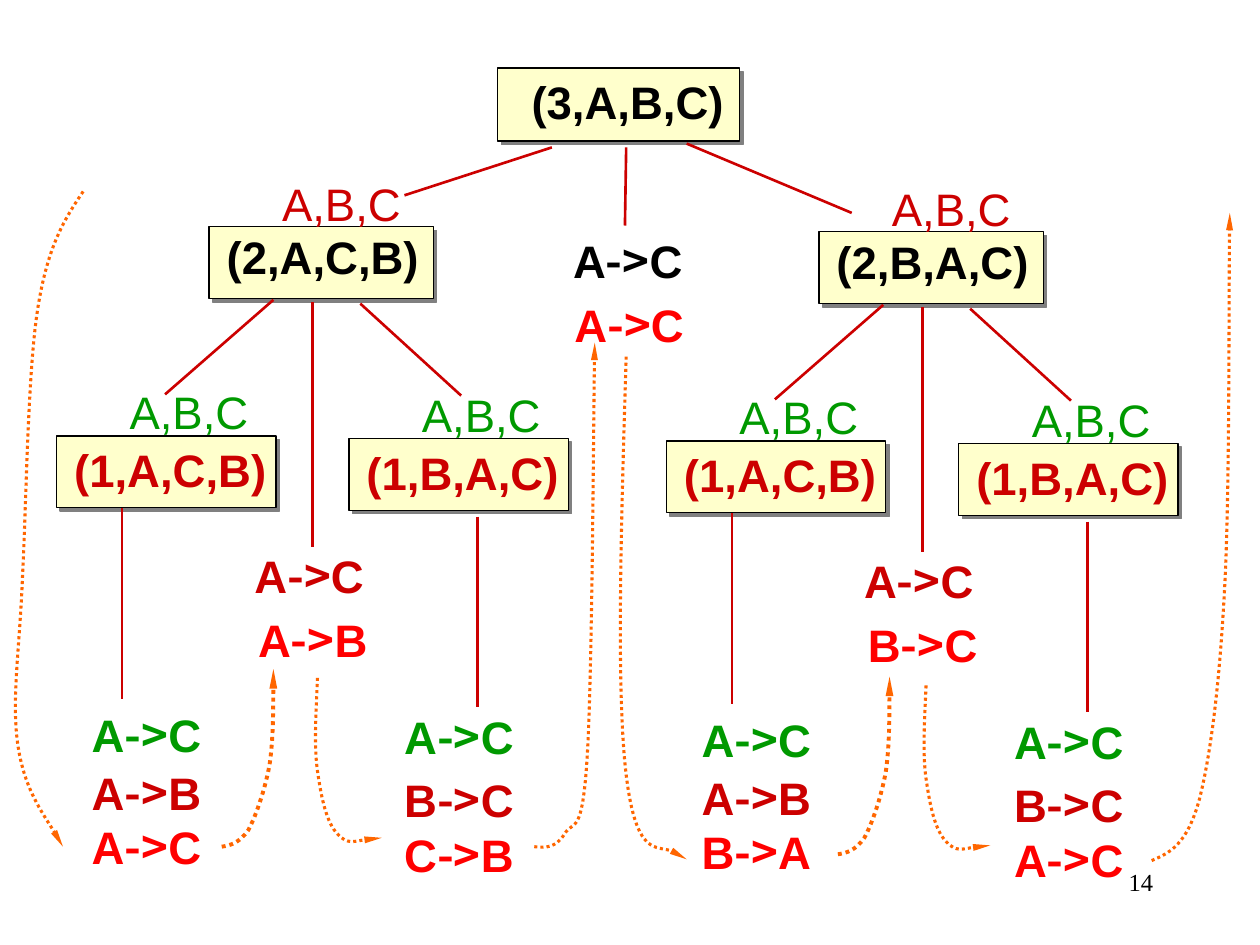
from dataclasses import dataclass
from lxml import etree
from pptx import Presentation
from pptx import util as u
from pptx.dml.color import RGBColor
from pptx.enum import dml, shapes, text
from pptx.oxml import ns


@dataclass(frozen=True)
class Theme:
    black: str = "000000"
    dark: str = "CC0000"
    red: str = "FF0000"
    green: str = "009900"
    trail: str = "FF6600"
    cream: str = "FFFFCC"
    shade: str = "808080"
    sans: str = "Arial"
    cjk: str = "Noto Sans CJK SC"
    serif: str = "Times New Roman"
    size: int = 26
    small: int = 14


T = Theme()
inch = u.Inches


def rgb(name):
    return RGBColor.from_string(name)


def style(run, tint, bold, font=T.sans, size=T.size):
    run.font.name, run.font.size, run.font.bold = font, u.Pt(size), bold
    run.font.color.rgb = rgb(tint)


def add_text(slide, x, y, w, h=0.53, wrap=True, grow=True):
    frame = slide.shapes.add_textbox(inch(x), inch(y), inch(w), inch(h)).text_frame
    frame.word_wrap = wrap
    if grow:
        frame.auto_size = text.MSO_AUTO_SIZE.SHAPE_TO_FIT_TEXT
    return frame


def add_label(slide, x, y, w, words, tint, bold=True):
    frame = add_text(slide, x, y, w, wrap=bold)
    frame.text = words
    style(frame.paragraphs[0].runs[0], tint, bold)


def add_moves(slide, x, y, *moves):
    """Stack moves such as A->C, one paragraph for each (from, to, colour)."""
    frame = add_text(slide, x, y, 1.3, 0.53 + 0.44 * (len(moves) - 1))
    for i, (start, end, tint) in enumerate(moves):
        para = frame.add_paragraph() if i else frame.paragraphs[0]
        for part, font in ((start, T.sans), ("->", T.cjk), (end, T.sans)):
            run = para.add_run()
            run.text = part
            style(run, tint, True, font)


def add_card(slide, x, y, w, h=0.57):
    card = slide.shapes.add_shape(shapes.MSO_SHAPE.RECTANGLE,
                                  inch(x), inch(y), inch(w), inch(h))
    card.fill.solid()
    card.fill.fore_color.rgb = rgb(T.cream)
    card.line.color.rgb = rgb(T.black)
    card.line.width = u.Pt(0.75)
    # Hard shadow to the lower right
    effects = etree.SubElement(card._element.spPr, ns.qn("a:effectLst"))
    cast = etree.SubElement(effects, ns.qn("a:outerShdw"), dist=str(u.Pt(2.8)),
                            dir="2700000", algn="ctr", rotWithShape="0")
    etree.SubElement(cast, ns.qn("a:srgbClr"), val=T.shade)


def add_branch(slide, x, y, x1, y1, x2, y2):
    line = slide.shapes.add_connector(
        shapes.MSO_CONNECTOR.STRAIGHT, *map(inch, (x + x1, y + y1, x + x2, y + y2)))
    line.line.color.rgb = rgb(T.dark)
    line.line.width = u.Pt(1.5)
    etree.SubElement(line._element.spPr, ns.qn("a:effectLst"))


def add_curve(slide, x, y, points, width=1.75):
    """Dotted arrow along joined cubic curves: a start, then three points each."""
    start, *rest = [(inch(x + px), inch(y + py)) for px, py in points]
    path = slide.shapes.build_freeform(*start)
    path.add_line_segments(rest, close=False)
    curve = path.convert_to_shape()
    # Each three straight steps become one cubic curve
    steps = list(curve._element.iter(ns.qn("a:lnTo")))
    for i in range(0, len(steps), 3):
        bend = etree.SubElement(steps[i].getparent(), ns.qn("a:cubicBezTo"))
        for step in steps[i:i + 3]:
            bend.append(step[0])
            step.getparent().remove(step)
    curve.shadow.inherit = False
    curve.fill.background()
    curve.line.color.rgb = rgb(T.trail)
    curve.line.width = u.Pt(width)
    curve.line.dash_style = dml.MSO_LINE.ROUND_DOT
    ln = curve._element.spPr.find(ns.qn("a:ln"))
    etree.SubElement(ln, ns.qn("a:tailEnd"), type="triangle", w="sm", len="lg")


def add_leaf(slide, x, y, call, stem, shift, last, moves):
    """Call with one disk: stem is its drop line, shift the left of its moves."""
    add_card(slide, x, y, 1.74)
    add_label(slide, x + 0.04, y, 2.02, call, T.dark)
    add_label(slide, x + 0.48, y - 0.46, 1.15, "A,B,C", T.green, False)
    add_branch(slide, x, y, *stem)
    add_moves(slide, x + shift, y + 2.1, ("A", "C", T.green))
    first, second = moves
    add_moves(slide, x + shift, y + last, (*first, T.dark), (*second, T.red))


def add_tree(slide, x, y, call, middle, left, right):
    """Call with two disks, its own moves and its two leaves."""
    add_card(slide, x, y, 1.78)
    add_label(slide, x + 0.04, y - 0.03, 2.02, call, T.black)
    add_label(slide, x + 0.48, y - 0.45, 1.15, "A,B,C", T.dark, False)
    for ends in ((0.51, 0.58, -0.35, 1.33), (0.82, 0.6, 0.82, 2.54),
                 (1.2, 0.61, 2, 1.34)):
        add_branch(slide, x, y, *ends)
    add_moves(slide, x + 0.26, y + 2.5, ("A", "C", T.dark))
    add_moves(slide, x + 0.29, y + 3.01, (*middle, T.red))
    add_leaf(slide, x - 1.21, y + 1.66, "(1,A,C,B)",
             (0.52, 0.57, 0.52, 2.09), 0.18, 2.56, left)
    add_leaf(slide, x + 1.11, y + 1.68, "(1,B,A,C)",
             (1.02, 0.62, 1.02, 2.13), 0.34, 2.6, right)


def add_root(slide, x, y):
    """Call with three disks and the moves below it."""
    add_card(slide, x, y, 1.92, 0.58)
    add_label(slide, x + 0.17, y, 2.02, "(3,A,B,C)", T.black)
    for ends in ((1.02, 0.63, 1.01, 1.25), (0.43, 0.63, -0.74, 1.01),
                 (1.5, 0.6, 2.81, 1.15)):
        add_branch(slide, x, y, *ends)
    add_moves(slide, x + 0.5, y + 1.26, ("A", "C", T.black))
    add_moves(slide, x + 0.51, y + 1.77, ("A", "C", T.red))


def add_trail(slide, x, y):
    """Order in which the moves are visited."""
    climb = [(0, 1.41), (0.07, 1.4), (0.14, 1.38), (0.21, 1.28), (0.27, 1.17),
             (0.34, 0.97), (0.38, 0.76), (0.41, 0.55), (0.41, 0.13), (0.41, 0)]
    dive = [(0.03, 0), (0.02, 0.26), (0, 0.53), (0.03, 0.74), (0.06, 0.95),
            (0.1, 1.15), (0.19, 1.24), (0.27, 1.33), (0.48, 1.27), (0.54, 1.27)]
    for left, top in ((1.76, 5.31), (6.65, 5.37)):
        add_curve(slide, x + left, y + top, climb, 2.25)
    for left, top in ((2.49, 5.38), (7.32, 5.44)):
        add_curve(slide, x + left, y + top, dive)
    # Into the first leaf, up to the root, down again, and out
    for route in (
        [(0.66, 1.52), (0.52, 1.73), (0.38, 1.94), (0.3, 2.45), (0.22, 2.95),
         (0.21, 3.98), (0.18, 4.55), (0.16, 5.13), (0.09, 5.53), (0.14, 5.9),
         (0.19, 6.26), (0.43, 6.59), (0.5, 6.72)],
        [(4.24, 6.72), (4.33, 6.73), (4.41, 6.73), (4.48, 6.62), (4.55, 6.5),
         (4.62, 6.66), (4.66, 6.01), (4.7, 5.36), (4.71, 3.27), (4.72, 2.72)],
        [(4.97, 2.83), (4.93, 4.15), (4.89, 5.48), (4.97, 6.15), (5.05, 6.81),
         (5.37, 6.71), (5.45, 6.82)],
        [(9.14, 6.83), (9.28, 6.77), (9.42, 6.71), (9.52, 6.34), (9.61, 5.98),
         (9.68, 5.43), (9.72, 4.65), (9.76, 3.88), (9.75, 2.18), (9.76, 1.69)],
    ):
        add_curve(slide, x, y, route)


def add_number(slide, x, y):
    frame = add_text(slide, x, y, 2.08, 0.5, grow=False)
    frame.text = "14"
    para = frame.paragraphs[0]
    para.alignment = text.PP_ALIGN.RIGHT
    style(para.runs[0], T.black, False, T.serif, T.small)


def main():
    deck = Presentation()
    deck.slide_width, deck.slide_height = inch(10), inch(7.5)
    slide = deck.slides.add_slide(deck.slide_layouts[6])
    add_root(slide, 3.95, 0.54)
    add_tree(slide, 1.66, 1.8, "(2,A,C,B)", "AB", ("AB", "AC"), ("BC", "CB"))
    add_tree(slide, 6.5, 1.84, "(2,B,A,C)", "BC", ("AB", "BA"), ("BC", "AC"))
    add_trail(slide, 0, 0)
    add_number(slide, 7.17, 6.83)
    deck.save("out.pptx")


if __name__ == "__main__":
    main()
